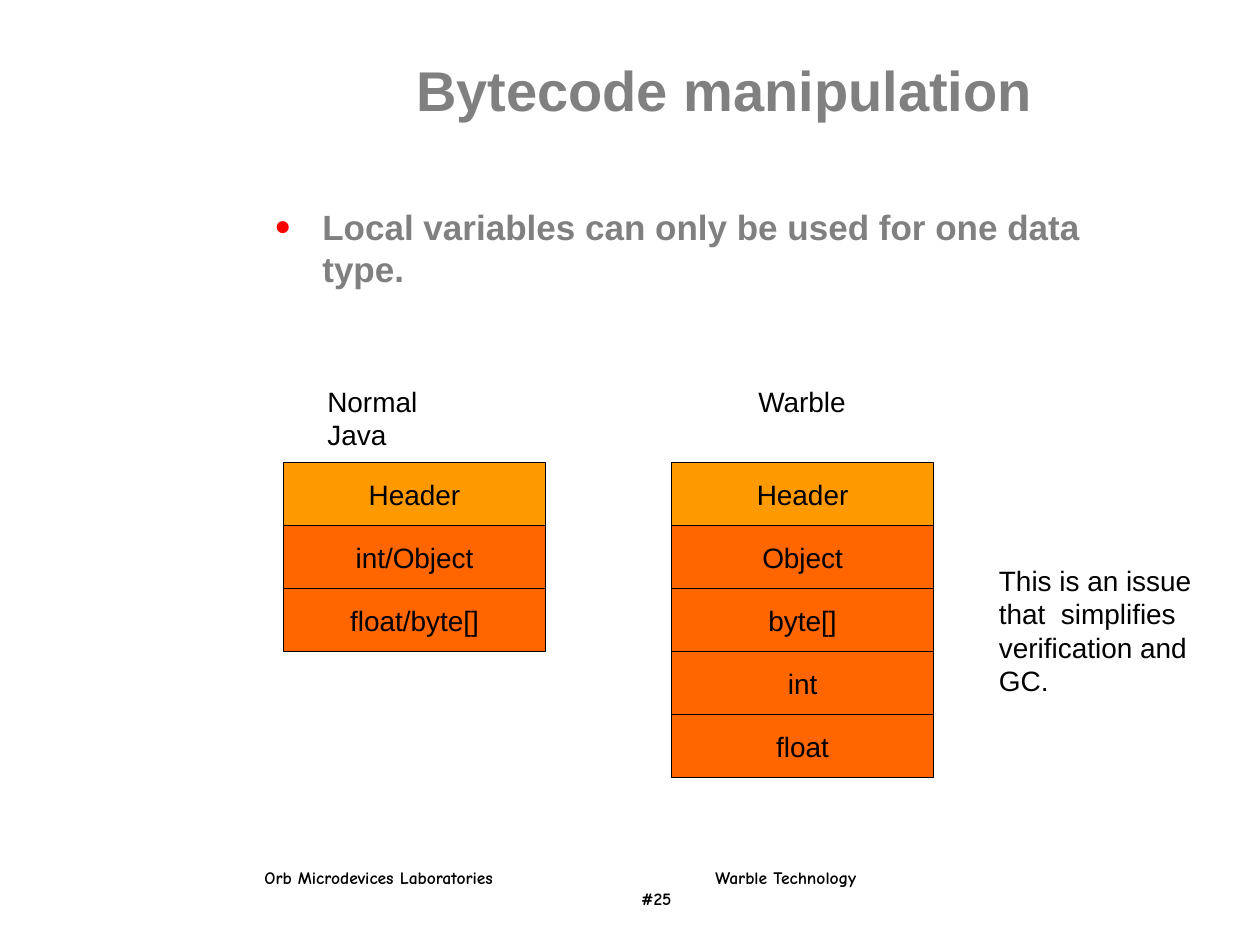
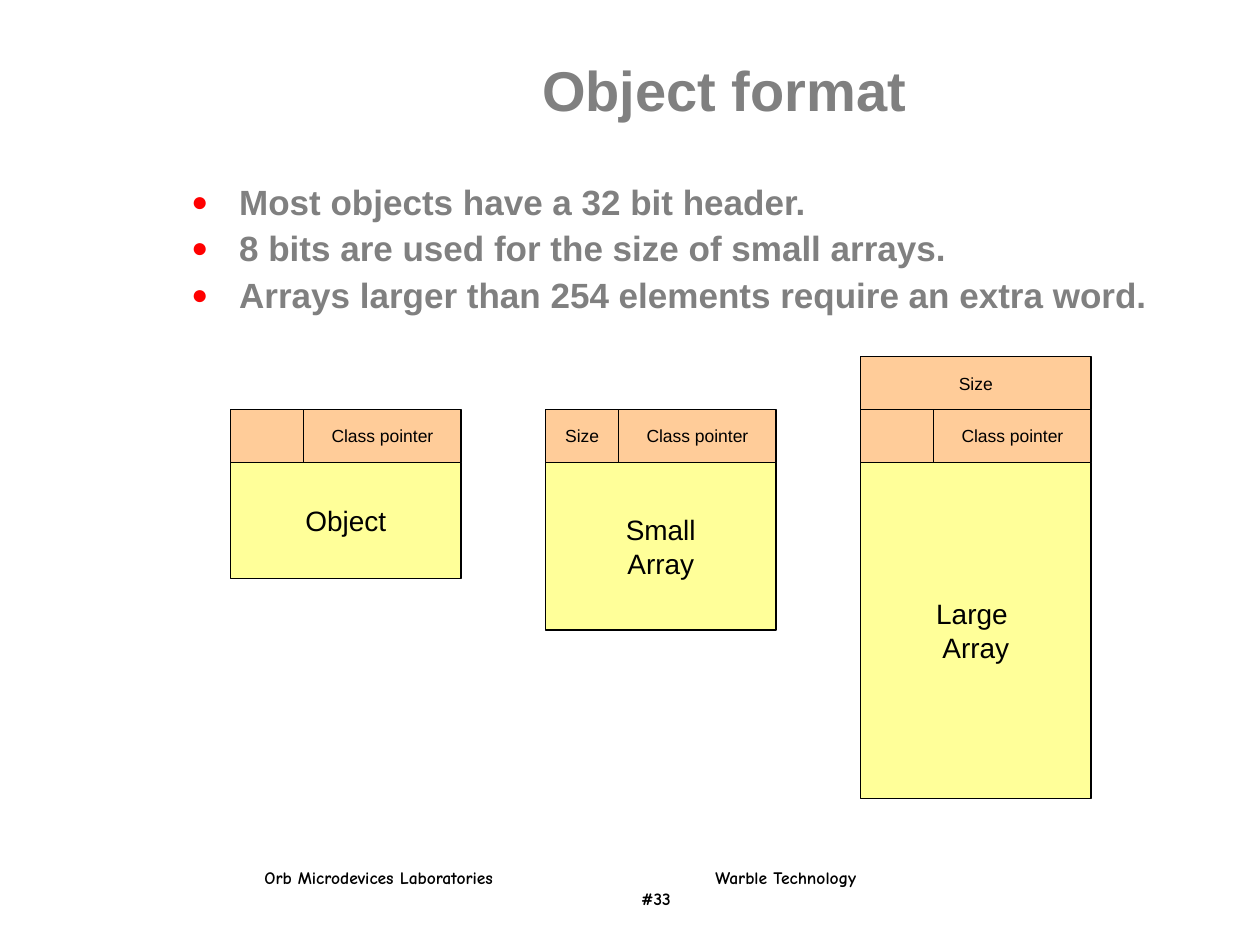
from lxml import etree
from pptx import Presentation
from pptx.dml.color import RGBColor
from pptx.enum.shapes import MSO_SHAPE
from pptx.enum.text import MSO_ANCHOR, PP_ALIGN
from pptx.oxml.ns import qn
from pptx.util import Inches, Pt

RECT = MSO_SHAPE.RECTANGLE
TOP, MIDDLE = MSO_ANCHOR.TOP, MSO_ANCHOR.MIDDLE
LEFT, CENTER = PP_ALIGN.LEFT, PP_ALIGN.CENTER

COLORS = {
    "heading": "808080",
    "text": "000000",
    "bullet": "FF0000",
    "frame_header": "FF9900",
    "frame_slot": "FF6600",
    "object_header": "FFCC99",
    "object_body": "FFFF99",
}
BODY_FONT, FOOTER_FONT = "Arial", "Comic Neue"
LABEL_SIZE, SMALL_SIZE = 16, 10
SLOT_W, SLOT_H = 2.08, 0.5
OBJECT_W, FLAGS_W, HEADER_H = 1.83, 0.58, 0.42
HEADER_TOP = 3.25


def color(name):
    return RGBColor.from_string(COLORS[name])


def fill_text(sp, lines, size, ink="text", bold=False, font=BODY_FONT,
              align=LEFT, anchor=TOP, wrap=True):
    tf = sp.text_frame
    tf.word_wrap = wrap
    tf.vertical_anchor = anchor
    for i, line in enumerate(lines):
        p = tf.add_paragraph() if i else tf.paragraphs[0]
        p.alignment = align
        r = p.add_run()
        r.text = line
        r.font.name = font
        r.font.size = Pt(size)
        r.font.bold = bold
        r.font.color.rgb = color(ink)
    return tf.paragraphs


def add_text(s, box, lines, size, **style):
    sp = s.shapes.add_textbox(*map(Inches, box))
    return fill_text(sp, lines, size, **style)


def add_cell(s, box, fill, lines=(), size=LABEL_SIZE):
    sp = s.shapes.add_shape(RECT, *map(Inches, box))
    sp.shadow.inherit = False
    sp.fill.solid()
    sp.fill.fore_color.rgb = color(fill)
    sp.line.color.rgb = color("text")
    sp.line.width = Pt(0.75)
    fill_text(sp, lines, size, align=CENTER, anchor=MIDDLE, wrap=False)


def add_bullets(s, box, lines, spacing=1.0):
    for p in add_text(s, box, lines, 20, ink="heading", bold=True):
        p.space_before = Pt(5)
        p.line_spacing = spacing
        pPr = p._p.get_or_add_pPr()
        pPr.set("marL", str(Inches(0.38)))
        pPr.set("indent", str(Inches(-0.38)))
        clr = etree.SubElement(pPr, qn("a:buClr"))
        etree.SubElement(clr, qn("a:srgbClr"), val=COLORS["bullet"])
        etree.SubElement(pPr, qn("a:buSzPct"), val="80000")
        etree.SubElement(pPr, qn("a:buFont"), typeface=BODY_FONT)
        etree.SubElement(pPr, qn("a:buChar"), char="●")


def add_footer(s, number):
    lines = ["Orb Microdevices Laboratories\tWarble Technology", f"\t#{number}"]
    paragraphs = add_text(s, (2, 6.83, 6.29, 0.44), lines, SMALL_SIZE,
                          bold=True, font=FOOTER_FONT)
    for p, stop in zip(paragraphs, (3.58, 2.99)):
        tabs = etree.SubElement(p._p.get_or_add_pPr(), qn("a:tabLst"))
        etree.SubElement(tabs, qn("a:tab"), pos=str(Inches(stop)), algn="l")


def add_slide(prs, title, number):
    s = prs.slides.add_slide(prs.slide_layouts[6])
    add_footer(s, number)
    add_text(s, (2, 0.42, 7.5, 0.58), [title], 32, ink="heading", bold=True,
             align=CENTER, anchor=MIDDLE)
    return s


def add_frame(s, left, slots):
    for i, slot in enumerate(["Header", *slots]):
        fill = "frame_slot" if i else "frame_header"
        add_cell(s, (left, 3.67 + i * SLOT_H, SLOT_W, SLOT_H), fill, [slot])


def add_object(s, left, height, name, flags=(), extra=()):
    add_cell(s, (left, HEADER_TOP + HEADER_H, OBJECT_W, height),
             "object_body", name)
    add_cell(s, (left + FLAGS_W, HEADER_TOP, OBJECT_W - FLAGS_W, HEADER_H),
             "object_header", ["Class pointer"], SMALL_SIZE)
    add_cell(s, (left, HEADER_TOP, FLAGS_W, HEADER_H),
             "object_header", flags, SMALL_SIZE)
    if extra:
        add_cell(s, (left, HEADER_TOP - HEADER_H, OBJECT_W, HEADER_H),
                 "object_header", extra, SMALL_SIZE)


def bytecode_slide(prs):
    s = add_slide(prs, "Bytecode manipulation", 25)
    add_bullets(s, (2.08, 1.58, 7.25, 0.83),
                ["Local variables can only be used for one data type."])
    add_frame(s, 2.25, ["int/Object", "float/byte[]"])
    add_frame(s, 5.33, ["Object", "byte[]", "int", "float"])
    add_text(s, (2.5, 3, 1.44, 0.37), ["Normal Java"], LABEL_SIZE, wrap=False)
    add_text(s, (5.92, 3, 0.99, 0.37), ["Warble"], LABEL_SIZE, wrap=False)
    add_text(s, (7.83, 4.42, 1.75, 1.17),
             ["This is an issue that  simplifies", "verification and GC."],
             LABEL_SIZE)


def object_slide(prs):
    s = add_slide(prs, "Object format", 33)
    add_bullets(s, (1.42, 1.42, 8.17, 1.17), [
        "Most objects have a 32 bit header.",
        "8 bits are used for the size of small arrays.",
        "Arrays larger than 254 elements require an extra word.",
    ], spacing=0.9)
    add_object(s, 1.83, 0.92, ["Object"])
    add_object(s, 4.33, 1.33, ["Small", "Array"], flags=["Size"])
    add_object(s, 6.83, 2.67, ["Large ", "Array"], extra=["Size"])


def main():
    prs = Presentation()
    prs.slide_width = Inches(10)
    prs.slide_height = Inches(7.5)
    bytecode_slide(prs)
    object_slide(prs)
    prs.save("out.pptx")


if __name__ == "__main__":
    main()
